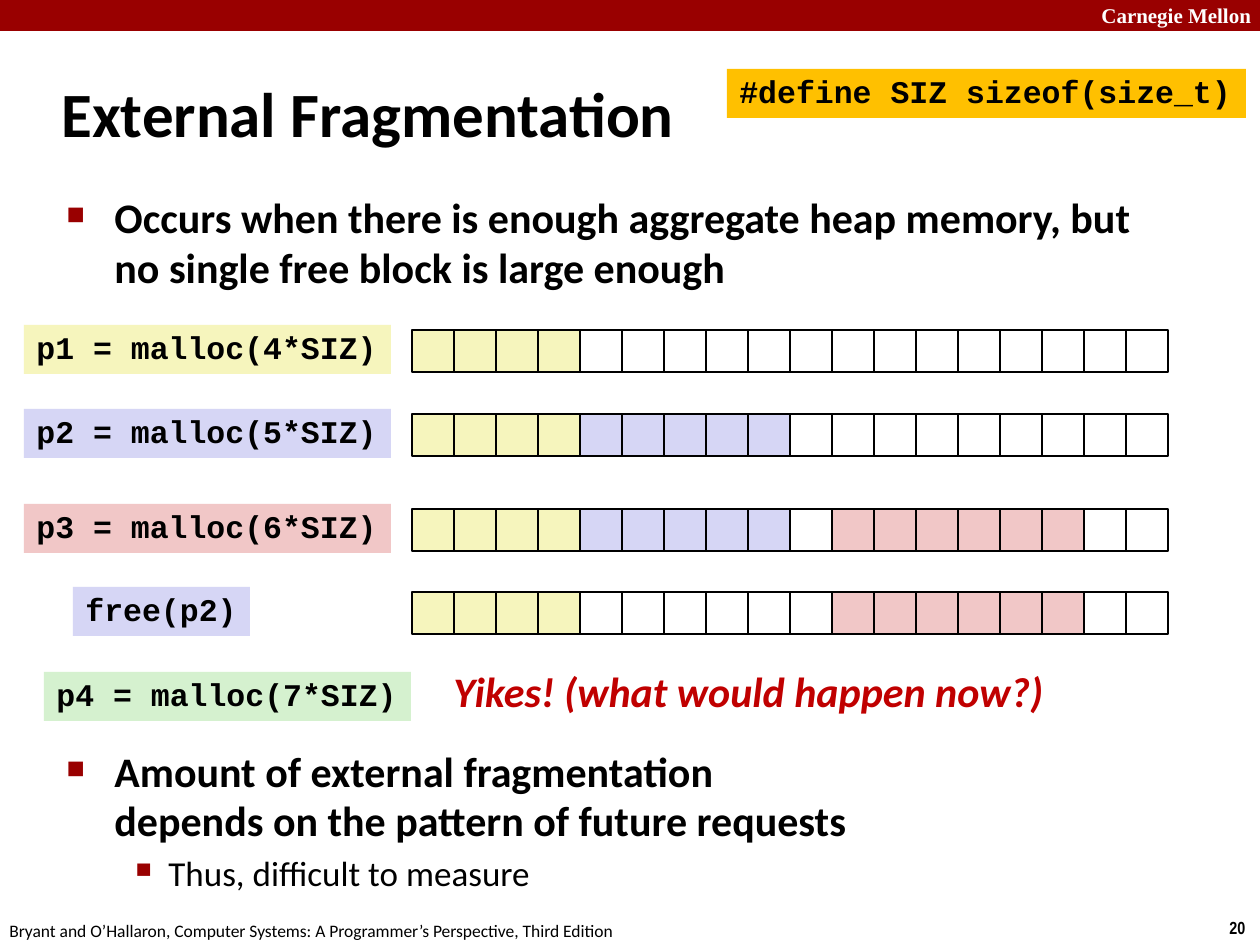
from lxml.etree import SubElement
from pptx import Presentation
from pptx.dml.color import RGBColor
from pptx.enum.shapes import MSO_SHAPE
from pptx.enum.text import MSO_ANCHOR, PP_ALIGN
from pptx.oxml.ns import qn
from pptx.util import Pt

EMU_PER_PX = 914400 / 126
CELL = 42
CELL_COUNT = 18
LABEL_HEIGHT = 49

BLACK, WHITE = "000000", "FFFFFF"
CARNEGIE_RED = "990000"
YELLOW, BLUE, PINK = "F6F5BD", "D6D6F5", "F1C7C7"
GREEN, AMBER, ALERT_RED = "D5F1CF", "FFC000", "C00000"


def px(length):
    return round(length * EMU_PER_PX)


def rgb(hex_color):
    return RGBColor.from_string(hex_color)


def add_rect(shapes, box, fill, line=None):
    rect = shapes.add_shape(MSO_SHAPE.RECTANGLE, *map(px, box))
    rect.shadow.inherit = False
    rect.fill.solid()
    rect.fill.fore_color.rgb = rgb(fill)
    if line:
        rect.line.color.rgb = rgb(line)
        rect.line.width = Pt(1)
    else:
        rect.line.fill.background()
    return rect


def write(paragraph, text, size, font="Calibri", color=BLACK, bold=False,
          italic=False, spacing=1.0, before=0):
    paragraph.text = text
    paragraph.alignment = PP_ALIGN.LEFT
    paragraph.line_spacing = spacing
    if before:
        paragraph.space_before = Pt(before)
    for run in paragraph.runs:
        run.font.size = Pt(size)
        run.font.name = font
        run.font.color.rgb = rgb(color)
        run.font.bold = bold
        run.font.italic = italic


def add_text(slide, box, text, size, wrap=False, anchor=MSO_ANCHOR.TOP, **style):
    frame = slide.shapes.add_textbox(*map(px, box)).text_frame
    frame.word_wrap = wrap
    frame.vertical_anchor = anchor
    write(frame.paragraphs[0], text, size, **style)


def add_bullet(paragraph, mark, percent, margin, hanging):
    properties = paragraph._p.get_or_add_pPr()
    properties.set("marL", str(px(margin)))
    properties.set("indent", str(-px(hanging)))
    color = SubElement(properties, qn("a:buClr"))
    SubElement(color, qn("a:srgbClr"), val=CARNEGIE_RED)
    SubElement(properties, qn("a:buSzPct"), val=str(percent * 1000))
    SubElement(properties, qn("a:buChar"), char=mark)


def add_frame(slide):
    """Top band, footer and page number."""
    add_rect(slide.shapes, (0, 0, 1260, 31), CARNEGIE_RED)
    add_text(slide, (1089, -4, 180, 38), "Carnegie Mellon", 12, wrap=True,
             font="Times New Roman", color=WHITE, bold=True)
    add_text(slide, (1217, 911, 43, 34), "20", 10, font="Arial Narrow", bold=True)
    add_text(slide, (-3, 914, 640, 34),
             "Bryant and O’Hallaron, Computer Systems: "
             "A Programmer’s Perspective, Third Edition", 10)


def add_body(slide, box):
    """Bullets above and below the heap diagram, which fills the gap between."""
    heap_gap = 260
    frame = slide.shapes.add_textbox(*map(px, box)).text_frame
    frame.word_wrap = True
    main = {"mark": "■", "percent": 60, "margin": 48, "hanging": 48}
    sub = {"mark": "▪", "percent": 110, "margin": 102, "hanging": 39}
    points = [
        ("Occurs when there is enough aggregate heap memory, "
         "but no single free block is large enough", 24, True, 0, main),
        ("Amount of external fragmentation\v"
         "depends on the pattern of future requests", 24, True, heap_gap, main),
        ("Thus, difficult to measure", 20, False, 4, sub),
    ]
    for index, (text, size, bold, before, bullet) in enumerate(points):
        paragraph = frame.add_paragraph() if index else frame.paragraphs[0]
        add_bullet(paragraph, **bullet)
        write(paragraph, text, size, bold=bold, spacing=0.98, before=before)


def add_code(slide, left, top, width, code, fill):
    label = add_rect(slide.shapes, (left, top, width, LABEL_HEIGHT), fill)
    frame = label.text_frame
    frame.word_wrap = False
    frame.vertical_anchor = MSO_ANCHOR.TOP
    write(frame.paragraphs[0], code, 18, font="Courier New", bold=True, spacing=0.94)


def add_heap(slide, left, top, blocks):
    """Row of heap words; blocks are (word count, fill), the rest is free."""
    fills = [fill for count, fill in blocks for _ in range(count)]
    fills += [WHITE] * (CELL_COUNT - len(fills))
    heap = slide.shapes.add_group_shape()
    for index, fill in enumerate(fills):
        add_rect(heap.shapes, (left + index * CELL, top, CELL, CELL), fill, BLACK)


def add_requests(slide, left, top):
    """Each request with the heap as it stands afterwards."""
    p1, p2, p3 = (4, YELLOW), (5, BLUE), (6, PINK)
    gap, freed = (1, WHITE), (5, WHITE)
    requests = [
        (0, 0, 367, "p1 = malloc(4*SIZ)", YELLOW, [p1]),
        (0, 84, 367, "p2 = malloc(5*SIZ)", BLUE, [p1, p2]),
        (0, 179, 367, "p3 = malloc(6*SIZ)", PINK, [p1, p2, gap, p3]),
        (49, 262, 177, "free(p2)", BLUE, [p1, freed, gap, p3]),
    ]
    for indent, offset, width, code, fill, blocks in requests:
        add_code(slide, left + indent, top + offset, width, code, fill)
        add_heap(slide, left + 388, top + offset + 5, blocks)
    add_code(slide, left + 20, top + 347, 367, "p4 = malloc(7*SIZ)", GREEN)
    add_text(slide, (left + 417, top + 334, 620, 63),
             "Yikes! (what would happen now?)", 24,
             color=ALERT_RED, bold=True, italic=True)


def main():
    deck = Presentation()
    deck.slide_width, deck.slide_height = px(1260), px(945)
    slide = deck.slides.add_slide(deck.slide_layouts[6])
    add_frame(slide)
    add_text(slide, (49, 60, 1046, 105), "External Fragmentation", 36, wrap=True,
             anchor=MSO_ANCHOR.MIDDLE, bold=True)
    add_body(slide, (54, 188, 1089, 685))
    add_code(slide, 727, 69, 519, "#define SIZ sizeof(size_t)", AMBER)
    add_requests(slide, 24, 325)
    deck.save("out.pptx")


if __name__ == "__main__":
    main()
